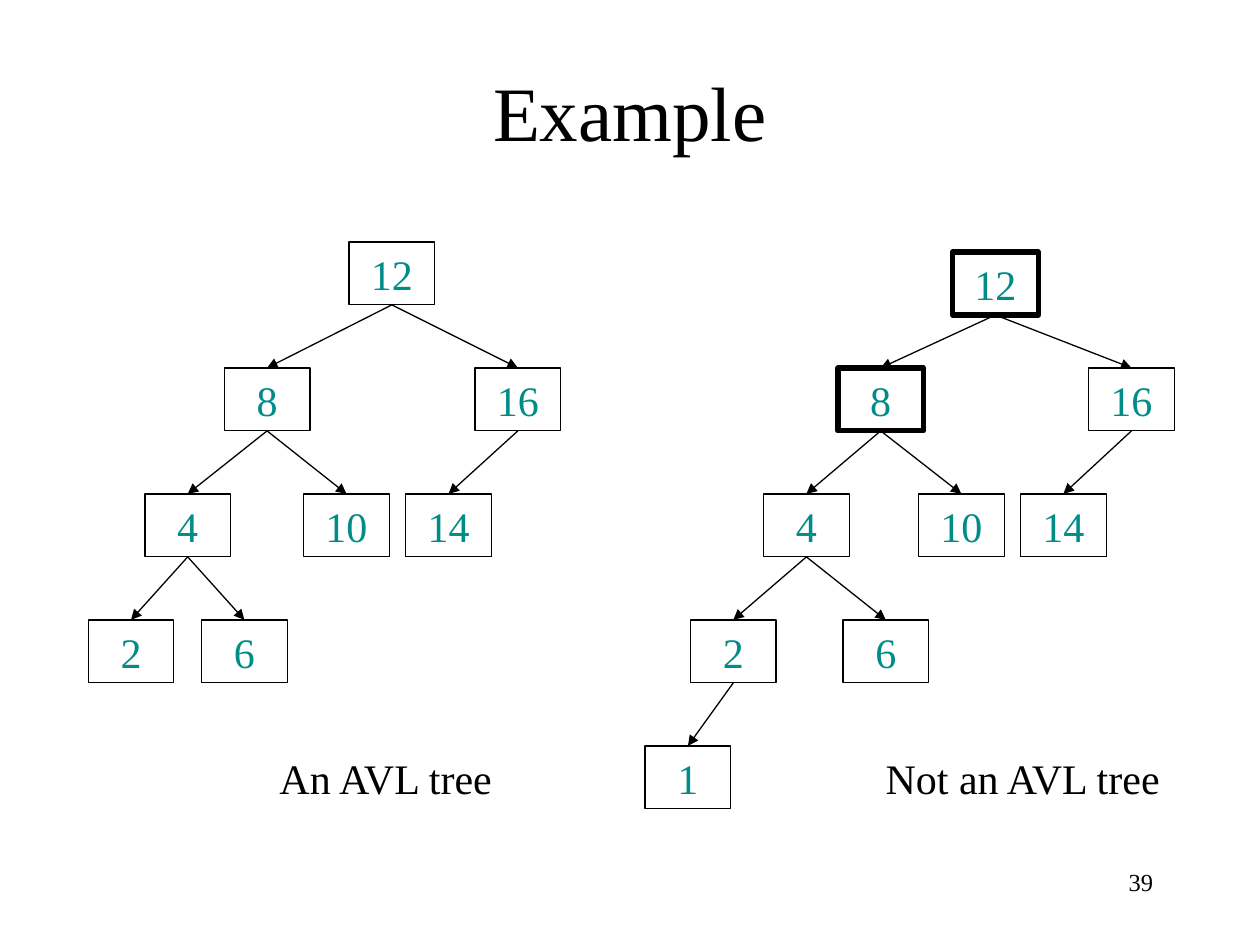
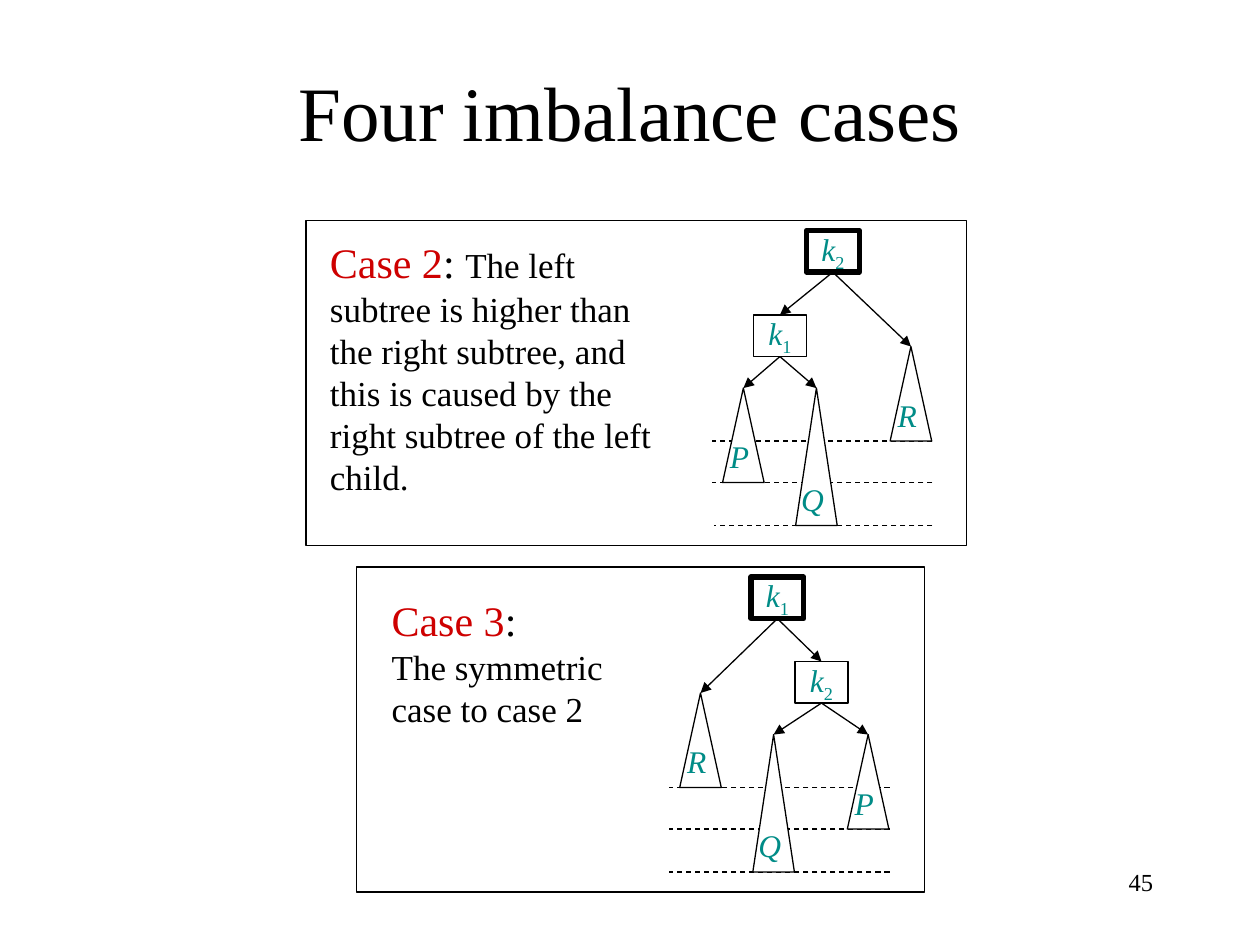
from dataclasses import dataclass

from lxml import etree
from pptx import Presentation
from pptx import util as u
from pptx.dml.color import RGBColor
from pptx.enum import dml, shapes, text
from pptx.oxml.ns import qn


@dataclass(frozen=True)
class Theme:
    font: str = "Times New Roman"
    ink: str = "000000"
    paper: str = "FFFFFF"
    label: str = "008C87"
    accent: str = "CE0000"
    title: int = 44
    large: int = 24
    body: int = 20
    small: int = 18
    footer: int = 14
    thin: float = 0.75
    thick: float = 3


@dataclass(frozen=True)
class Span:
    text: str
    size: int
    color: str = Theme.ink
    italic: bool = False
    subscript: bool = False


LEFT, CENTER, RIGHT = text.PP_ALIGN.LEFT, text.PP_ALIGN.CENTER, text.PP_ALIGN.RIGHT
BOTTOM_SITE, TOP_SITE = 2, 0


class Slides:
    """Holds the deck, its theme and the slide being filled."""

    def __init__(self, theme):
        self.theme = theme
        self.deck = Presentation()
        self.deck.slide_width, self.deck.slide_height = u.Inches(10), u.Inches(7.5)
        self.page = None

    def start(self, title, number):
        """Open a slide with its title and its printed number."""
        self.page = self.deck.slides.add_slide(self.deck.slide_layouts[5])
        box = self.page.shapes.title
        box.left, box.top, box.width, box.height = map(u.Inches, (0.75, 0.25, 8.5, 1.25))
        box.text_frame.vertical_anchor = text.MSO_ANCHOR.MIDDLE
        self.fill_text(box.text_frame, [Span(title, self.theme.title)], CENTER)
        self.textbox(7.17, 6.83, 2.08, 0.5, [Span(number, self.theme.footer)], RIGHT)

    def fill_text(self, frame, spans, align=LEFT, wrap=True):
        """Fill one paragraph run by run; a newline span breaks the line."""
        frame.word_wrap = wrap
        para = frame.paragraphs[0]
        para.alignment = align
        for span in spans:
            if span.text == "\n":
                para.add_line_break()
                continue
            run = para.add_run()
            run.text = span.text
            run.font.name = self.theme.font
            run.font.size = u.Pt(span.size)
            run.font.italic = span.italic
            run.font.color.rgb = RGBColor.from_string(span.color)
            if span.subscript:
                run._r.get_or_add_rPr().set("baseline", "-25000")

    def textbox(self, left, top, width, height, spans, align=LEFT, wrap=True):
        box = self.page.shapes.add_textbox(*map(u.Inches, (left, top, width, height)))
        self.fill_text(box.text_frame, spans, align, wrap)

    def outline(self, shape, weight):
        shape.line.color.rgb = RGBColor.from_string(self.theme.ink)
        shape.line.width = u.Pt(weight)

    def rectangle(self, left, top, width, height, spans=(), bold=False):
        box = self.page.shapes.add_shape(
            shapes.MSO_SHAPE.RECTANGLE, *map(u.Inches, (left, top, width, height)))
        box.shadow.inherit = False
        box.fill.background()
        self.outline(box, self.theme.thick if bold else self.theme.thin)
        box.text_frame.vertical_anchor = text.MSO_ANCHOR.MIDDLE
        self.fill_text(box.text_frame, spans, CENTER, wrap=False)
        return box

    def triangle(self, apex, top, width, base):
        pen = self.page.shapes.build_freeform(
            u.Inches(apex - width / 2), u.Inches(base))
        pen.add_line_segments([(u.Inches(apex + width / 2), u.Inches(base)),
                               (u.Inches(apex), u.Inches(top))], close=True)
        shape = pen.convert_to_shape()
        shape.shadow.inherit = False
        shape.fill.solid()
        shape.fill.fore_color.rgb = RGBColor.from_string(self.theme.paper)
        self.outline(shape, self.theme.thin)

    def line(self, start, end):
        line = self.page.shapes.add_connector(
            shapes.MSO_CONNECTOR.STRAIGHT, *map(u.Inches, (*start, *end)))
        self.outline(line, self.theme.thin)
        etree.SubElement(line._element.spPr, qn("a:effectLst"))
        return line

    def dashes(self, start, end):
        self.line(start, end).line.dash_style = dml.MSO_LINE.DASH

    def arrow(self, parent, child=None, point=(0, 0)):
        """Point from the foot of parent to the top of child, or to a free point."""
        arrow = self.line((0, 0), point)
        arrow.begin_connect(parent, BOTTOM_SITE)
        if child is not None:
            arrow.end_connect(child, TOP_SITE)
        stroke = arrow._element.spPr.find(qn("a:ln"))
        etree.SubElement(stroke, qn("a:tailEnd"), type="triangle")


NODE_WIDTH, NODE_HEIGHT = 0.68, 0.5
LEVEL_TOP, LEVEL_STEP = 1.92, 1


def draw_tree(slides, nodes, edges, unbalanced=()):
    """Nodes map each key to (left, level); unbalanced keys get a thick frame."""
    theme = slides.theme
    boxes = {
        key: slides.rectangle(left, LEVEL_TOP + level * LEVEL_STEP, NODE_WIDTH, NODE_HEIGHT,
                              [Span(str(key), theme.large, theme.label)], key in unbalanced)
        for key, (left, level) in nodes.items()}
    for parent, child in edges:
        slides.arrow(boxes[parent], boxes[child])


def draw_example(slides):
    slides.start("Example", "39")
    edges = [(12, 8), (12, 16), (8, 4), (8, 10), (16, 14), (4, 2), (4, 6)]
    draw_tree(slides, {12: (2.77, 0), 16: (3.77, 1), 14: (3.22, 2), 8: (1.78, 1),
                       10: (2.41, 2), 4: (1.15, 2), 2: (0.7, 3), 6: (1.6, 3)}, edges)
    draw_tree(slides, {12: (7.56, 0.08), 8: (6.65, 1), 16: (8.64, 1), 14: (8.1, 2),
                       4: (6.06, 2), 10: (7.29, 2), 2: (5.48, 3), 6: (6.69, 3),
                       1: (5.12, 4)}, edges + [(2, 1)], unbalanced=(12, 8))
    for left, width, caption in ((2.12, 1.96, "An AVL tree"), (6.93, 2.45, "Not an AVL tree")):
        slides.textbox(left, 5.92, width, 0.5, [Span(caption, slides.theme.large)], wrap=False)


KEY_WIDTH, KEY_HEIGHT = 0.42, 0.33
SUBTREE_WIDTH = 0.33
DEPTHS = (1.75, 2.08, 2.42)
# Apex and base below the top of the frame, and the width of the letter's box
SUBTREES = {"P": (1.33, DEPTHS[1], 0.35), "Q": (1.33, DEPTHS[2], 0.38),
            "R": (1.0, DEPTHS[0], 0.35)}


def draw_case(slides, top, frame, root, child, apexes, dash_lefts, dash_right):
    """Frame is (left, width); root and child are (left, subscript)."""
    theme = slides.theme
    slides.rectangle(frame[0], top, frame[1], 2.58)

    def key_box(key, drop, bold=False):
        left, index = key
        return slides.rectangle(left, top + drop, KEY_WIDTH, KEY_HEIGHT, [
            Span("k", theme.small, theme.label, italic=True),
            Span(index, theme.small, theme.label, subscript=True)], bold)

    root_box = key_box(root, 0.08, bold=True)
    child_box = key_box(child, 0.75)
    for depth, left in zip(DEPTHS, dash_lefts):
        slides.dashes((dash_right, top + depth), (left, top + depth))
    slides.arrow(root_box, child_box)
    for name, apex in apexes.items():
        start, base, width = SUBTREES[name]
        slides.triangle(apex, top + start, SUBTREE_WIDTH, top + base)
        slides.textbox(apex - 0.03 - width / 2, top + base - 0.41, width, 0.4,
                       [Span(name, theme.small, theme.label, italic=True)], wrap=False)
        slides.arrow(root_box if name == "R" else child_box, point=(apex, top + start))


def draw_imbalance_cases(slides):
    theme = slides.theme
    slides.start("Four imbalance cases", "45")
    draw_case(slides, 1.75, (2.43, 5.24), (6.4, "2"), (5.98, "1"),
              {"P": 5.9, "Q": 6.48, "R": 7.23}, (5.65, 5.65, 5.67), 7.4)
    slides.textbox(2.52, 1.83, 2.89, 2.17, [
        Span("Case 2", theme.large, theme.accent),
        Span(": ", theme.large),
        Span("The left subtree is higher than the right subtree, and this is caused "
             "by the right subtree of the left child.", theme.body)])
    draw_case(slides, 4.5, (2.83, 4.51), (5.96, "1"), (6.31, "2"),
              {"P": 6.89, "Q": 6.14, "R": 5.56}, (5.31, 5.31, 5.31), 7.06)
    slides.textbox(3.01, 4.67, 2.08, 1.17, [
        Span("Case 3", theme.large, theme.accent),
        Span(":", theme.large),
        Span("\n", theme.large),
        Span("The symmetric case to case 2", theme.body)])


def main():
    slides = Slides(Theme())
    draw_example(slides)
    draw_imbalance_cases(slides)
    slides.deck.save("out.pptx")


if __name__ == "__main__":
    main()
